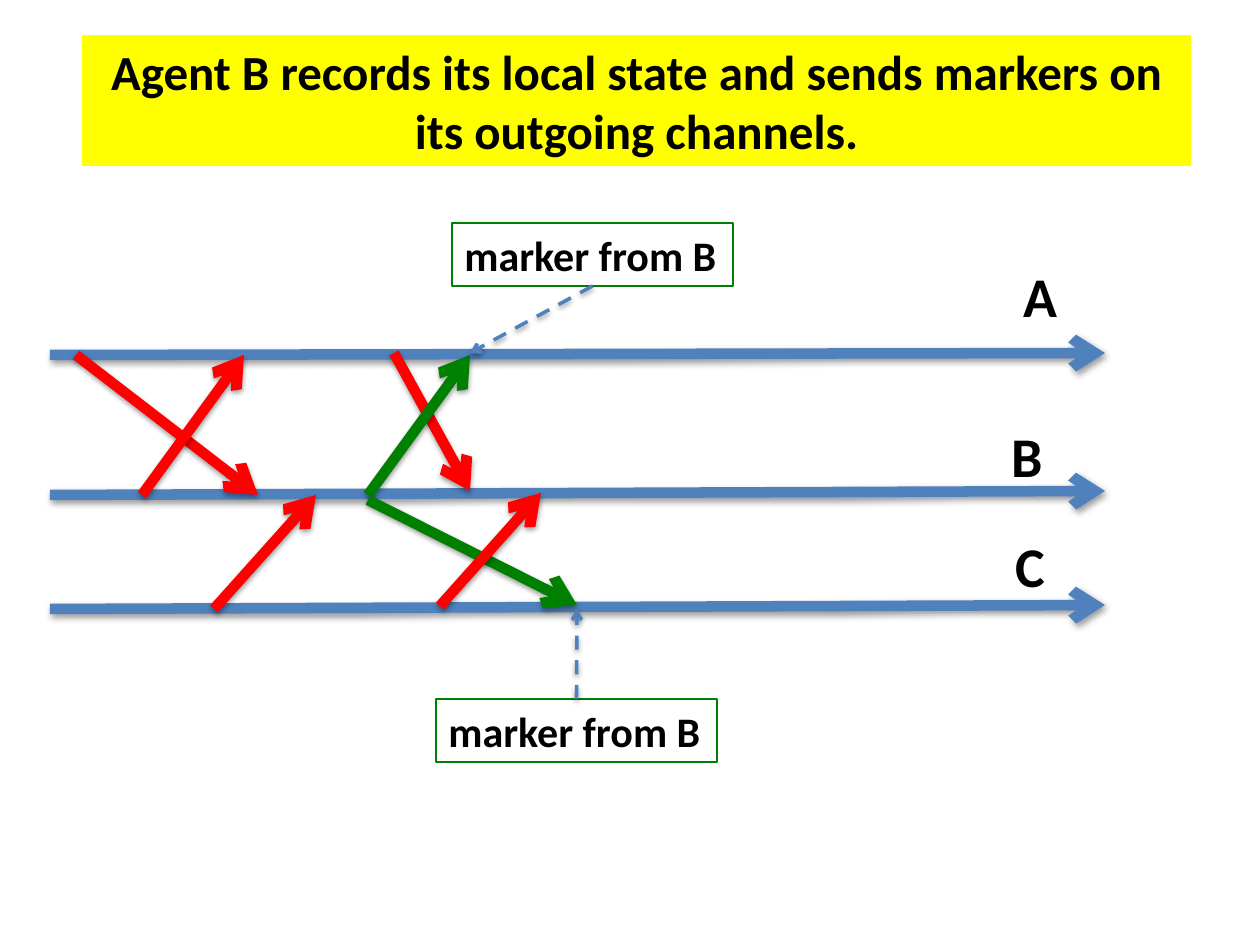
"""Build the slide on agent B recording its state and sending markers."""
import pptx
import pptx.util
import pptx.oxml
import pptx.oxml.ns
from pptx.dml.color import RGBColor
from pptx.enum.dml import MSO_LINE
from pptx.enum.shapes import MSO_CONNECTOR
from pptx.enum.text import MSO_AUTO_SIZE, PP_ALIGN

PX = 914400 / 126
COLORS = {"blue": "4F81BD", "red": "FF0000", "green": "008000",
          "yellow": "FFFF00", "black": "000000"}

TITLE = "Agent B records its local state and sends markers on its outgoing channels."
TIMELINES = [(355, 353), (495, 491), (609, 605)]
TIMELINE_X = (50, 1105)
MESSAGES = [
    ("red", 76, 355, 258, 495),
    ("red", 394, 353, 470, 491),
    ("green", 368, 495, 470, 355),
    ("red", 142, 495, 244, 355),
    ("green", 368, 500, 577, 605),
    ("red", 214, 609, 316, 495),
    ("red", 440, 606, 541, 493),
]
AGENTS = [("A", 1011, 255, 59), ("B", 999, 415, 57), ("C", 1003, 525, 55)]
MARKERS = [
    ("marker from B", 452, 223, 2, (470, 353)),
    ("marker from B", 436, 699, 0, (577, 609)),
]
MARKER_SIZE = (281, 63)

EFFECT = ('<a:effectLst %s><a:outerShdw blurRad="40000" dist="20000" dir="5400000" '
          'rotWithShape="0"><a:srgbClr val="000000"><a:alpha val="38000"/>'
          '</a:srgbClr></a:outerShdw></a:effectLst>' % pptx.oxml.ns.nsdecls("a"))
TAIL = '<a:tailEnd %s type="arrow"/>' % pptx.oxml.ns.nsdecls("a")


def px(value):
    return round(value * PX)


def color(name):
    return RGBColor.from_string(COLORS[name])


def add_arrow(s, name, x1, y1, x2, y2, width=6):
    c = s.shapes.add_connector(MSO_CONNECTOR.STRAIGHT, px(x1), px(y1), px(x2), px(y2))
    c.line.color.rgb = color(name)
    c.line.width = pptx.util.Pt(width)
    c.line._get_or_add_ln().append(pptx.oxml.parse_xml(TAIL))
    c._element.spPr.append(pptx.oxml.parse_xml(EFFECT))
    return c


def add_text(s, text, x, y, w, h, size, wrap=False, align=PP_ALIGN.LEFT):
    sp = s.shapes.add_textbox(px(x), px(y), px(w), px(h))
    tf = sp.text_frame
    tf.word_wrap = wrap
    tf.auto_size = MSO_AUTO_SIZE.SHAPE_TO_FIT_TEXT
    p = tf.paragraphs[0]
    p.alignment = align
    r = p.add_run()
    r.text = text
    for key, value in {"name": "Calibri", "size": pptx.util.Pt(size), "bold": True}.items():
        setattr(r.font, key, value)
    r.font.color.rgb = color("black")
    return sp


def main():
    prs = pptx.Presentation()
    prs.slide_width, prs.slide_height = px(1260), px(945)
    s = prs.slides.add_slide(prs.slide_layouts[6])

    left, right = TIMELINE_X
    for start, end in TIMELINES:
        add_arrow(s, "blue", left, start, right, end)
    for message in MESSAGES:
        add_arrow(s, *message)

    title = add_text(s, TITLE, 82, 35, 1109, 131, 28, True, PP_ALIGN.CENTER)
    title.fill.solid()
    title.fill.fore_color.rgb = color("yellow")

    for name, x, y, w in AGENTS:
        add_text(s, name, x, y, w, 81, 32)

    for text, x, y, side, target in MARKERS:
        box = add_text(s, text, x, y, *MARKER_SIZE, 24)
        box.line.color.rgb = color("green")
        box.line.width = pptx.util.Pt(0.75)
        pointer = add_arrow(s, "blue", x, y, *target, width=2)
        pointer.line.dash_style = MSO_LINE.DASH
        pointer.begin_connect(box, side)

    prs.save("out.pptx")


if __name__ == "__main__":
    main()
